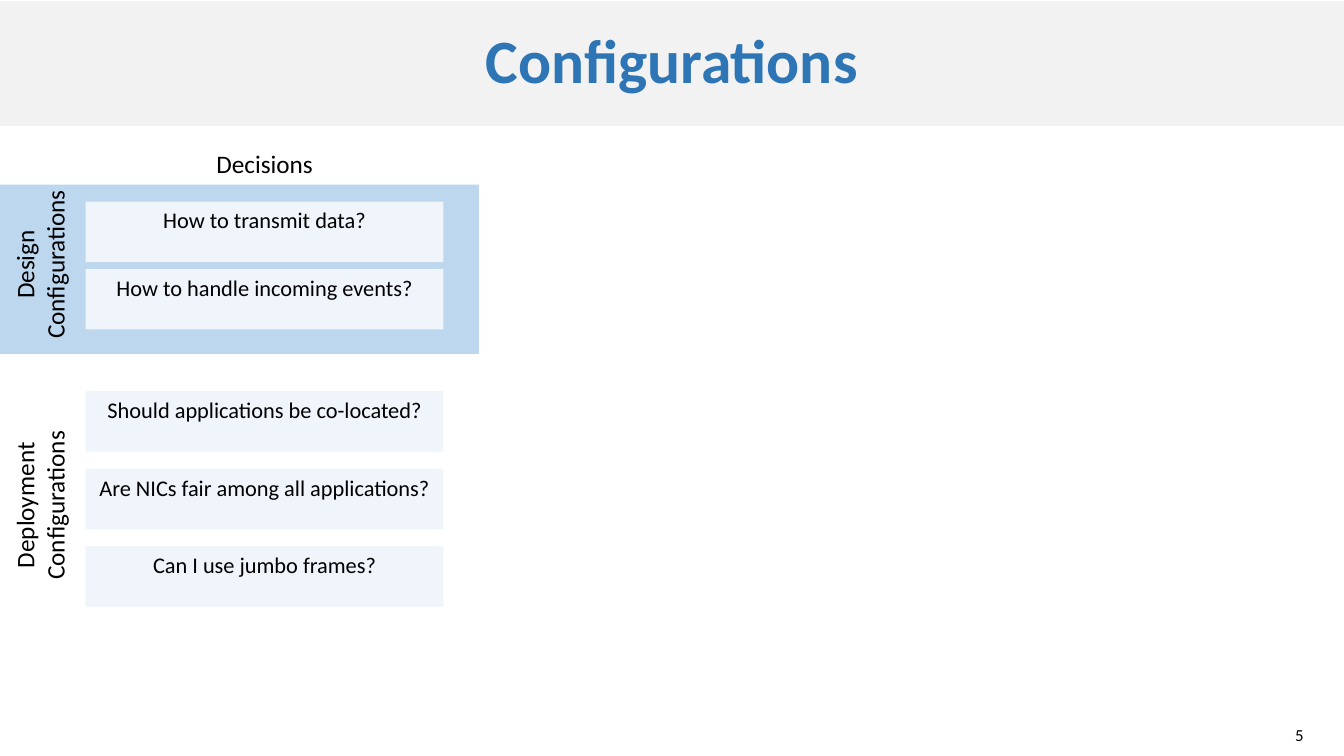
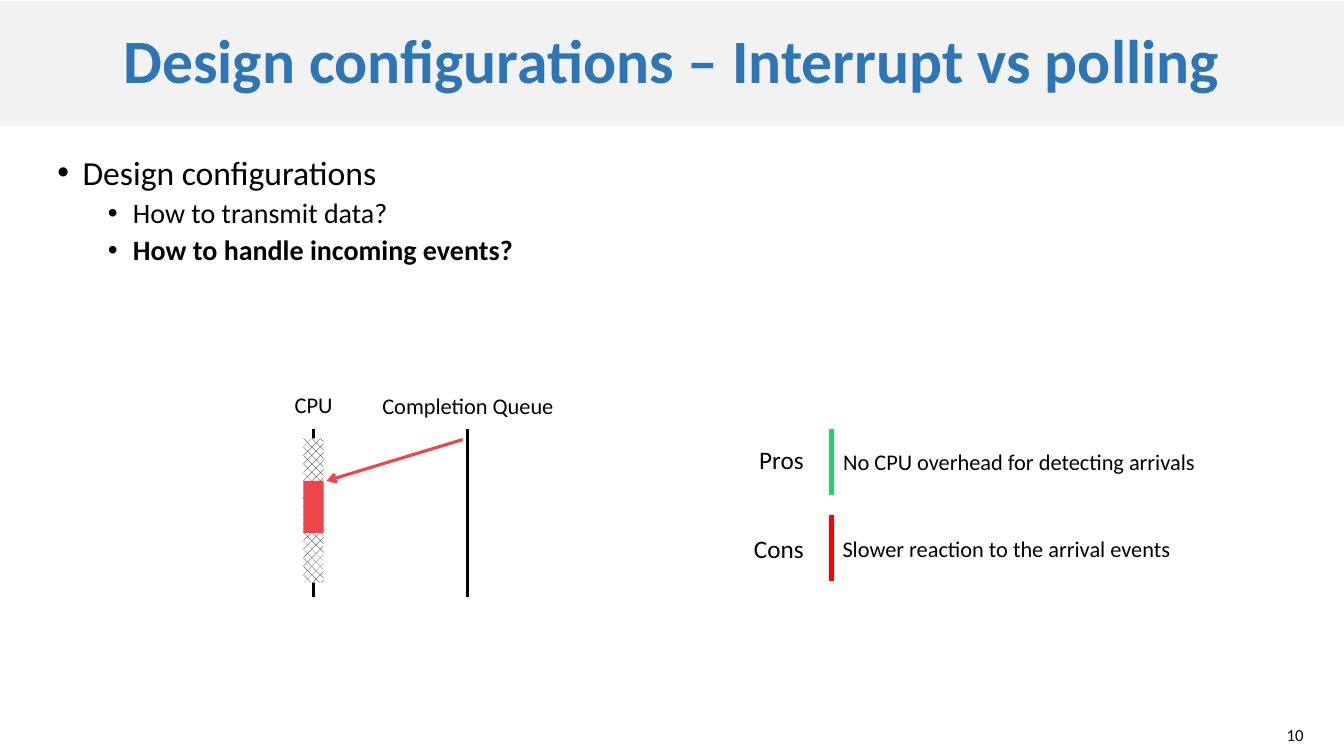
from lxml import etree
from pptx import Presentation
from pptx.dml.color import RGBColor
from pptx.enum.dml import MSO_PATTERN
from pptx.enum.shapes import MSO_CONNECTOR, MSO_SHAPE
from pptx.enum.text import MSO_ANCHOR, MSO_AUTO_SIZE, PP_ALIGN
from pptx.oxml.ns import qn
from pptx.util import Pt

RECTANGLE = MSO_SHAPE.RECTANGLE
STRAIGHT = MSO_CONNECTOR.STRAIGHT
HATCH = MSO_PATTERN.from_xml("pct40")
LEFT, CENTER, RIGHT = PP_ALIGN.LEFT, PP_ALIGN.CENTER, PP_ALIGN.RIGHT
TOP, MIDDLE = MSO_ANCHOR.TOP, MSO_ANCHOR.MIDDLE
NO_AUTOFIT = MSO_AUTO_SIZE.NONE

FONT = "Calibri"
COLORS = {
    "title": "2E75B6",
    "title_band": "F2F2F2",
    "highlight": "BDD7EE",
    "decision": "EFF5FB",
    "text": "000000",
    "paper": "FFFFFF",
    "pros": "2ECC70",
    "cons": "FF0000",
    "event": "EE454D",
}
TITLE_ONLY, TITLE_AND_CONTENT = 5, 1
DECISION_LEFT, DECISION_WIDTH, DECISION_HEIGHT = 61.2, 255.6, 43.2


def color(name):
    """Return the named palette colour."""
    return RGBColor.from_string(COLORS[name])


def place(shape, left, top, width, height):
    """Move and size a shape."""
    shape.left, shape.top = Pt(left), Pt(top)
    shape.width, shape.height = Pt(width), Pt(height)


def format_runs(paragraph, size, color_name="text", bold=False):
    """Give every run of a paragraph its font."""
    for run in paragraph.runs:
        run.font.name = FONT
        run.font.size = Pt(size)
        run.font.bold = bold
        run.font.color.rgb = color(color_name)


def set_text(shape, text, size, align=LEFT, anchor=TOP, wrap=True):
    """Write text into a shape; line feeds start new paragraphs."""
    frame = shape.text_frame
    frame.text = text
    frame.word_wrap = wrap
    frame.vertical_anchor = anchor
    for paragraph in frame.paragraphs:
        paragraph.alignment = align
        format_runs(paragraph, size)


def add_text(shapes, box, text, size, align=LEFT, anchor=TOP, wrap=True):
    """Add a text box."""
    shape = shapes.add_textbox(*map(Pt, box))
    set_text(shape, text, size, align, anchor, wrap)
    return shape


def add_rectangle(shapes, box, fill_name):
    """Add a borderless filled rectangle."""
    shape = shapes.add_shape(RECTANGLE, *map(Pt, box))
    shape.shadow.inherit = False
    shape.line.fill.background()
    shape.fill.solid()
    shape.fill.fore_color.rgb = color(fill_name)
    return shape


def add_line(shapes, start, end, color_name, width, arrow=False):
    """Add a straight line, with an arrowhead at its end if wanted."""
    line = shapes.add_connector(STRAIGHT, *map(Pt, start + end))
    line.line.color.rgb = color(color_name)
    line.line.width = Pt(width)
    properties = line._element.spPr
    if arrow:
        etree.SubElement(properties.find(qn("a:ln")), qn("a:tailEnd"), type="arrow")
    etree.SubElement(properties, qn("a:effectLst"))


def add_title(slide, text):
    """Turn the title placeholder into the grey title band."""
    title = slide.shapes.title
    place(title, 0, 0.75, 960, 89.25)
    title.fill.solid()
    title.fill.fore_color.rgb = color("title_band")
    set_text(title, text, 44, CENTER, MIDDLE)
    title.text_frame.auto_size = NO_AUTOFIT
    paragraph = title.text_frame.paragraphs[0]
    paragraph.line_spacing = 0.9
    format_runs(paragraph, 44, "title", bold=True)
    outline = etree.Element(qn("a:ln"), w=str(Pt(0.75)))
    solid = etree.SubElement(outline, qn("a:solidFill"))
    etree.SubElement(solid, qn("a:srgbClr"), val=COLORS["title"])
    paragraph.runs[0]._r.get_or_add_rPr().insert(0, outline)


def add_slide(presentation, layout, title, number):
    """Add a slide with the shared title band and page number."""
    slide = presentation.slides.add_slide(presentation.slide_layouts[layout])
    add_title(slide, title)
    add_text(slide.shapes, (861, 514, 77.25, 21.5), number, 12, RIGHT, MIDDLE)
    return slide


def fill_list(placeholder, items):
    """Fill a body placeholder with (level, text, bold) bullets."""
    frame = placeholder.text_frame
    frame.text = "\n".join(text for _, text, _ in items)
    frame.auto_size = NO_AUTOFIT
    for paragraph, (level, _, bold) in zip(frame.paragraphs, items):
        paragraph.level = level
        paragraph.line_spacing = 0.9
        paragraph.space_before = Pt(5 if level else 12)
        format_runs(paragraph, 20 if level else 24, bold=bold)
        properties = paragraph._p.get_or_add_pPr()
        properties.set("marL", str(Pt(18 + 36 * level)))
        properties.set("indent", str(Pt(-18)))
        etree.SubElement(properties, qn("a:buFont"), typeface="Arial")
        etree.SubElement(properties, qn("a:buChar"), char="•")


def add_decisions(shapes, top, step, questions):
    """Stack decision boxes at an equal step."""
    for index, question in enumerate(questions):
        box = (DECISION_LEFT, top + index * step, DECISION_WIDTH, DECISION_HEIGHT)
        set_text(add_rectangle(shapes, box, "decision"), question, 16, CENTER)


def add_side_label(shapes, box, text):
    """Add a label that reads upwards."""
    add_text(shapes, box, text, 18, CENTER, wrap=False).rotation = 270


def add_verdict(shapes, top, color_name, label, label_at, text, text_at):
    """Add a labelled bar with one advantage or drawback."""
    add_line(shapes, (594, top), (594, top + 46.8), color_name, 3)
    add_text(shapes, label_at + (50, 29), label, 18, wrap=False)
    add_text(shapes, text_at + (322, 26.5), text, 16)


def add_timeline(shapes):
    """Draw the CPU and completion queue timelines."""
    for center in (224, 334):
        add_line(shapes, (center, 306.7), (center, 426.2), "text", 2.25)
    add_text(shapes, (198, 275.8, 52, 26.5), "CPU", 16, CENTER)
    add_text(shapes, (254, 276.5, 160.5, 26.5), "Completion Queue", 16, CENTER)
    waiting = add_rectangle(shapes, (216.8, 313.2, 14.4, 103), "paper")
    waiting.fill.patterned()
    waiting.fill.pattern = HATCH
    waiting.fill.fore_color.rgb = color("text")
    waiting.fill.back_color.rgb = color("paper")
    add_line(shapes, (330.5, 314), (233.3, 343.5), "event", 2.25, arrow=True)
    add_rectangle(shapes, (216.8, 343.5, 14.4, 37.4), "event")


def build_configurations(presentation):
    """Build the overview of decisions."""
    slide = add_slide(presentation, TITLE_ONLY, "Configurations", "5")
    shapes = slide.shapes
    add_rectangle(shapes, (0, 131.8, 342, 121), "highlight")
    add_text(shapes, (DECISION_LEFT, 102.2, DECISION_WIDTH, 29), "Decisions", 18, CENTER)
    add_decisions(shapes, 144, 48.2, [
        "How to transmit data?",
        "How to handle incoming events?",
    ])
    add_decisions(shapes, 279.4, 55.4, [
        "Should applications be co-located?",
        "Are NICs fair among all applications?",
        "Can I use jumbo frames?",
    ])
    add_side_label(shapes, (-34.5, 163.5, 126, 51), "Design\nConfigurations")
    add_side_label(shapes, (-36.7, 335.5, 130.3, 51), "Deployment\nConfigurations")


def build_interrupt_polling(presentation):
    """Build the comparison of event handling."""
    slide = add_slide(presentation, TITLE_AND_CONTENT,
                      "Design configurations – Interrupt vs polling", "10")
    body = slide.placeholders[1]
    place(body, 33.8, 108, 890, 347.8)
    fill_list(body, [
        (0, "Design configurations", False),
        (1, "How to transmit data?", False),
        (1, "How to handle incoming events?", True),
    ])
    add_verdict(slide.shapes, 306.7, "pros", "Pros", (535.2, 314),
                "No CPU overhead for detecting arrivals", (595.2, 316.8))
    add_verdict(slide.shapes, 367.9, "cons", "Cons", (531.5, 377.3),
                "Slower reaction to the arrival events", (594.7, 378.7))
    add_timeline(slide.shapes.add_group_shape().shapes)


def main():
    """Build and save the presentation."""
    presentation = Presentation()
    presentation.slide_width, presentation.slide_height = Pt(960), Pt(540)
    build_configurations(presentation)
    build_interrupt_polling(presentation)
    presentation.save("out.pptx")


main()
